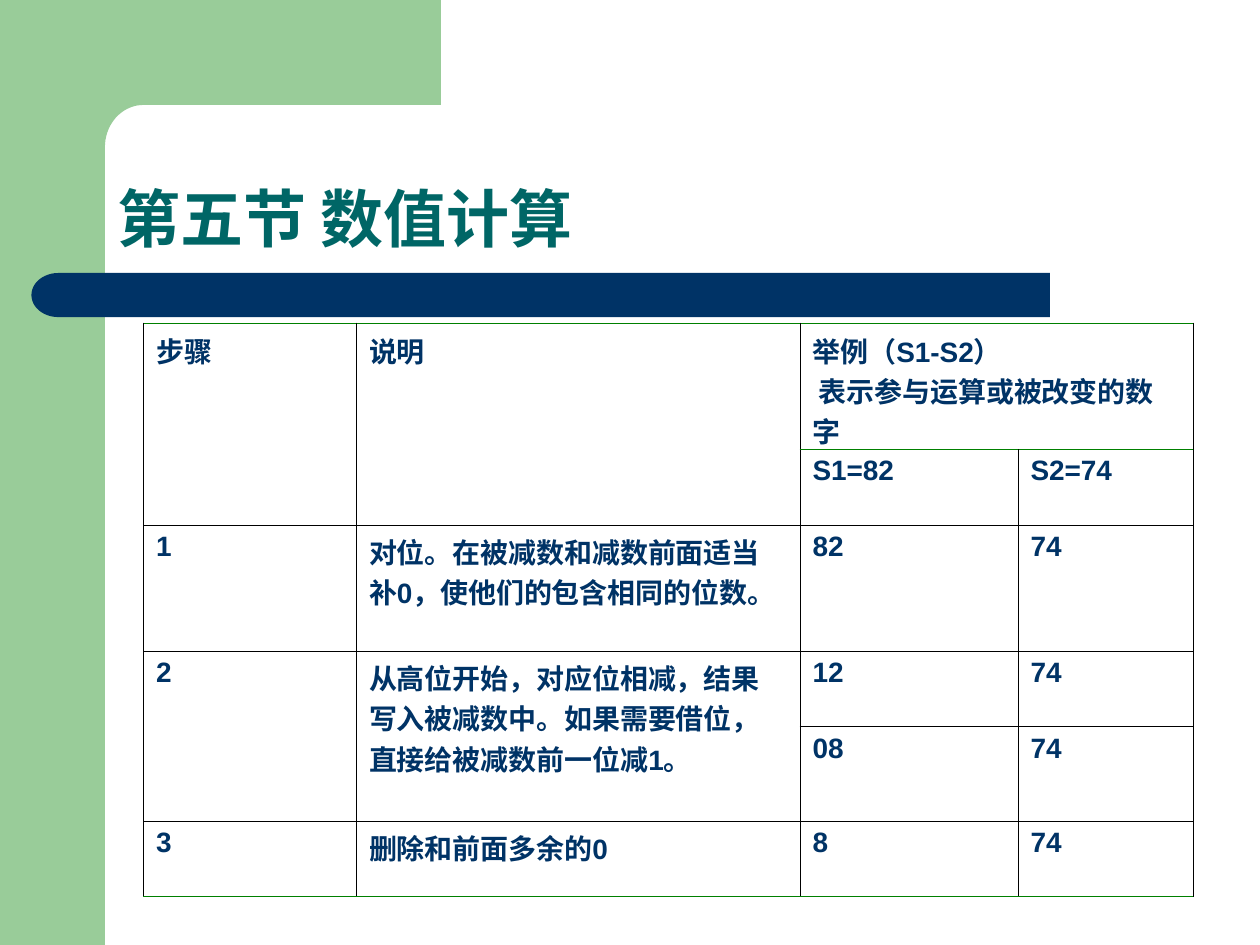
import math

import lxml.etree
import pptx
import pptx.dml.color
import pptx.enum.shapes
import pptx.enum.text
import pptx.oxml.ns
import pptx.util

Pt = pptx.util.Pt
RGBColor = pptx.dml.color.RGBColor
Shapes = pptx.enum.shapes.MSO_SHAPE

LIGHT_GREEN = RGBColor(0x99, 0xCC, 0x99)
NAVY = RGBColor(0x00, 0x33, 0x66)
TEAL = RGBColor(0x00, 0x66, 0x66)
GREEN = RGBColor(0x00, 0x80, 0x00)
BLACK = RGBColor(0x00, 0x00, 0x00)

THIN_LINE = (BLACK, 0.34)
OUTER_LINE = (GREEN, 0.96)
HEADER_LINE = (GREEN, 0.45)

COLUMN_WIDTHS = [121.7, 253.4, 124.6, 100.1]
ROW_HEIGHTS = [72, 43.2, 72, 43.2, 54, 43.2]
ROWS = [
    ["步骤", "说明", "举例（S1-S2）\n 表示参与运算或被改变的数字", ""],
    ["", "", "S1=82", "S2=74"],
    ["1", "对位。在被减数和减数前面适当补0，使他们的包含相同的位数。", "82", "74"],
    ["2", "从高位开始，对应位相减，结果写入被减数中。如果需要借位，直接给被减数前一位减1。", "12", "74"],
    ["", "", "08", "74"],
    ["3", "删除和前面多余的0", "8", "74"],
]
MERGES = [((0, 0), (1, 0)), ((0, 1), (1, 1)), ((0, 2), (0, 3)),
          ((3, 0), (4, 0)), ((3, 1), (4, 1))]


def paint(shape, color):
    """Give a shape a plain fill without line or shadow."""
    shape.shadow.inherit = False
    shape.fill.solid()
    shape.fill.fore_color.rgb = color
    shape.line.fill.background()


def add_text(paragraph, text, size, color):
    """Add one bold run to a paragraph."""
    run = paragraph.add_run()
    run.text = text
    run.font.name = "Arial"
    run.font.size = Pt(size)
    run.font.bold = True
    run.font.color.rgb = color


def add_green_frame(slide, left, top, width, height):
    """Draw the left band and the top block with its rounded inner corner."""
    band_width, block_left, block_height, foot = 60, 36, 60, 32
    band = slide.shapes.add_shape(
        Shapes.RECTANGLE, Pt(left), Pt(top), Pt(band_width), Pt(height))
    paint(band, LIGHT_GREEN)
    radius_x, radius_y = 22, 24
    center_x = left + band_width + radius_x
    center_y = top + block_height + radius_y
    angles = [math.radians(90 + 5 * step) for step in range(19)]
    corner = [(center_x + radius_x * math.cos(angle),
               center_y - radius_y * math.sin(angle)) for angle in angles]
    bottom = top + block_height + foot
    points = [(left + width, top), (left + width, top + block_height), *corner,
              (left + band_width, bottom), (left + block_left, bottom),
              (left + block_left, top)]
    start, *others = [(Pt(x), Pt(y)) for x, y in points]
    builder = slide.shapes.build_freeform(*start, scale=1.0)
    builder.add_line_segments(others, close=True)
    paint(builder.convert_to_shape(), LIGHT_GREEN)


def add_title_bar(slide, left, top, width, height):
    """Draw the navy bar with its round left end."""
    cap_width = 30.6
    bar = slide.shapes.add_shape(
        Shapes.ROUNDED_RECTANGLE, Pt(left + cap_width), Pt(top),
        Pt(width - cap_width), Pt(height))
    bar.adjustments[0] = 0
    paint(bar, NAVY)
    cap = slide.shapes.add_shape(
        Shapes.FLOWCHART_DELAY, Pt(left), Pt(top), Pt(cap_width), Pt(height))
    cap._element.spPr.get_or_add_xfrm().set("flipH", "1")
    paint(cap, NAVY)


def add_title(slide, left, top, width, height):
    """Write the title at the foot of its box."""
    box = slide.shapes.add_textbox(Pt(left), Pt(top), Pt(width), Pt(height))
    frame = box.text_frame
    frame.word_wrap = True
    frame.vertical_anchor = pptx.enum.text.MSO_ANCHOR.BOTTOM
    paragraph = frame.paragraphs[0]
    paragraph.line_spacing = 0.9
    add_text(paragraph, "第五节 数值计算", 36, TEAL)


def set_borders(cell, top, bottom):
    """Set the four borders of a cell, with thin sides."""
    properties = cell._tc.get_or_add_tcPr()
    edges = {"L": THIN_LINE, "R": THIN_LINE, "T": top, "B": bottom}
    for position, (side, (color, width)) in enumerate(edges.items()):
        line = lxml.etree.Element(
            pptx.oxml.ns.qn(f"a:ln{side}"), w=str(int(Pt(width))))
        fill = lxml.etree.SubElement(line, pptx.oxml.ns.qn("a:solidFill"))
        lxml.etree.SubElement(
            fill, pptx.oxml.ns.qn("a:srgbClr"), val=str(color))
        properties.insert(position, line)


def add_steps_table(slide, left, top, width, height):
    """Build the table of subtraction steps."""
    table = slide.shapes.add_table(
        len(ROWS), len(COLUMN_WIDTHS),
        Pt(left), Pt(top), Pt(width), Pt(height)).table
    table.first_row = False
    table.horz_banding = False
    for column, column_width in zip(table.columns, COLUMN_WIDTHS):
        column.width = Pt(column_width)
    for row, row_height in zip(table.rows, ROW_HEIGHTS):
        row.height = Pt(row_height)
    for first, last in MERGES:
        table.cell(*first).merge(table.cell(*last))
    for row_index, texts in enumerate(ROWS):
        for column_index, text in enumerate(texts):
            cell = table.cell(row_index, column_index)
            cell.fill.background()
            inner = HEADER_LINE if column_index >= 2 else THIN_LINE
            above = {0: OUTER_LINE, 1: inner}.get(row_index, THIN_LINE)
            below = {0: inner, len(ROWS) - 1: OUTER_LINE}.get(row_index, THIN_LINE)
            set_borders(cell, above, below)
            if not text:
                continue
            frame = cell.text_frame
            for index, line in enumerate(text.split("\n")):
                paragraph = frame.add_paragraph() if index else frame.paragraphs[0]
                add_text(paragraph, line, 16, NAVY)


def main():
    """Build the slide and save it."""
    presentation = pptx.Presentation()
    presentation.slide_width = Pt(720)
    presentation.slide_height = Pt(540)
    slide = presentation.slides.add_slide(presentation.slide_layouts[6])
    add_green_frame(slide, 0, 0, 252, 540)
    add_title_bar(slide, 18, 156, 582, 25.2)
    add_title(slide, 60, 60, 624, 90)
    add_steps_table(slide, 82, 184.8, sum(COLUMN_WIDTHS), sum(ROW_HEIGHTS))
    presentation.save("out.pptx")


if __name__ == "__main__":
    main()
